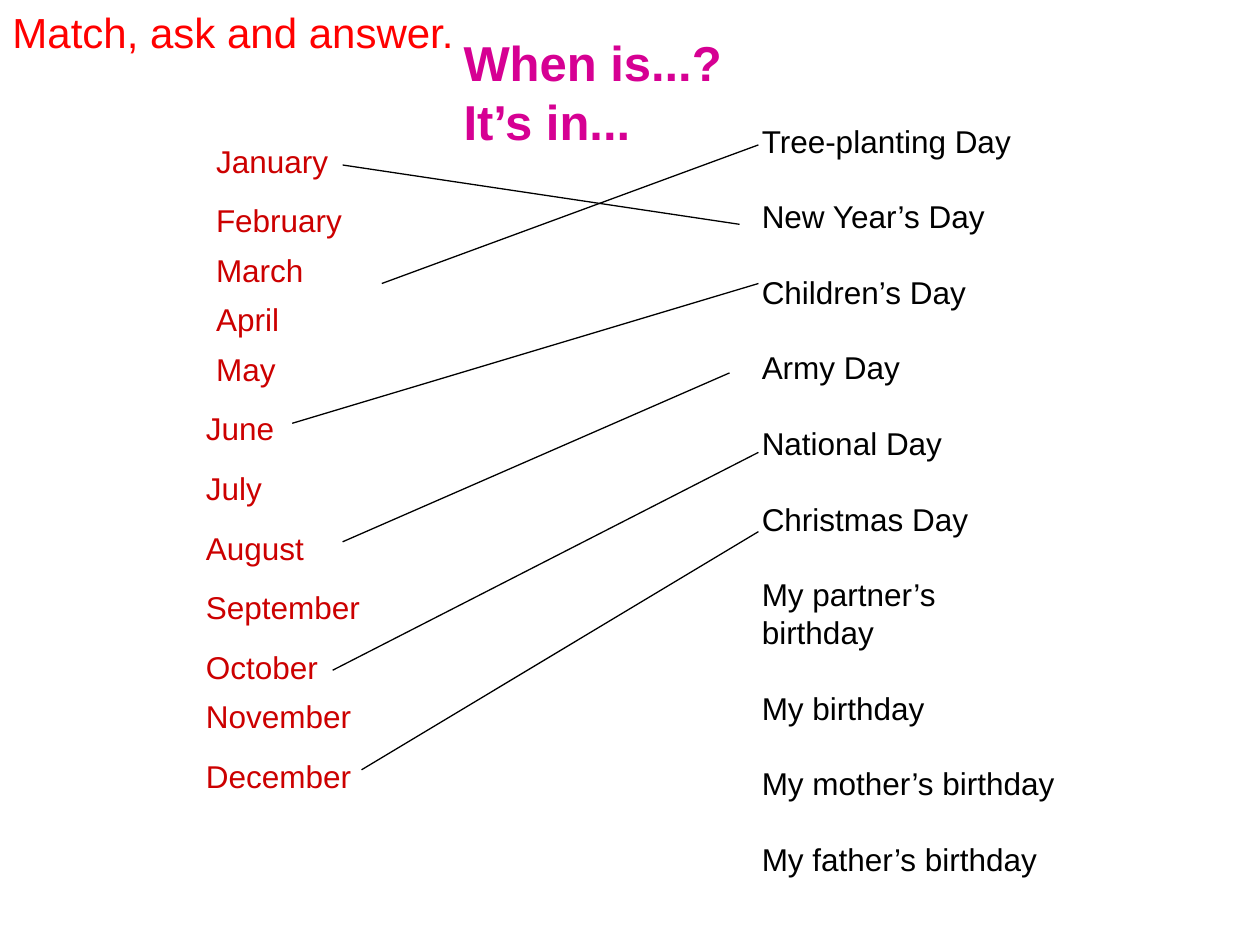
from dataclasses import dataclass

from lxml import etree
from pptx import Presentation
from pptx import util as u
from pptx.dml.color import RGBColor
from pptx.enum import shapes, text
from pptx.oxml import ns


@dataclass(frozen=True)
class Theme:
    font: str = "Arial"
    instruction: str = "FF0000"
    month: str = "CC0000"
    ink: str = "000000"
    question: str = "D60093"
    body_size: float = 18
    instruction_size: float = 24
    question_size: float = 28
    leading: float = 1.2
    line_width: float = 0.75


class Page:
    """The theme and the current slide."""

    def __init__(self, slide, theme):
        self.s = slide
        self.theme = theme

    def text(self, box, lines, size, color, bold=False, gap=0):
        """Write one paragraph per line, with gap points between them."""
        sp = self.s.shapes.add_textbox(*(u.Pt(v) for v in box))
        tf = sp.text_frame
        tf.word_wrap = True
        tf.auto_size = text.MSO_AUTO_SIZE.SHAPE_TO_FIT_TEXT
        tf.text = "\n".join(lines)
        for i, p in enumerate(tf.paragraphs):
            p.line_spacing = u.Pt(size * self.theme.leading)
            if i and gap:
                p.space_before = u.Pt(gap)
            p.font.name = self.theme.font
            p.font.size = u.Pt(size)
            p.font.bold = bold
            p.font.color.rgb = RGBColor.from_string(color)

    def line(self, *ends):
        cx = self.s.shapes.add_connector(
            shapes.MSO_CONNECTOR.STRAIGHT, *(u.Pt(v) for v in ends))
        cx.line.color.rgb = RGBColor.from_string(self.theme.ink)
        cx.line.width = u.Pt(self.theme.line_width)
        etree.SubElement(cx._element.spPr, ns.qn("a:effectLst"))


# Month, left, top, width
MONTHS = [
    ("January", 116.4, 77.4, 81), ("February", 116.4, 111.4, 89),
    ("March", 116.4, 139.7, 67), ("April", 116.4, 168, 53),
    ("May", 116.4, 196.4, 51), ("June", 110.6, 230.4, 56),
    ("July", 110.6, 264.4, 49), ("August", 110.6, 298.6, 73),
    ("September", 110.6, 332.5, 105), ("October", 110.6, 366.5, 81),
    ("November", 110.6, 394.6, 100), ("December", 110.6, 428.8, 100),
]
DAYS = [
    "Tree-planting Day", "New Year’s Day", "Children’s Day", "Army Day",
    "National Day", "Christmas Day", "My partner’s birthday", "My birthday",
    "My mother’s birthday", "My father’s birthday",
]
# Each match runs from a month to its day
MATCHES = [
    (195.8, 94.3, 422.6, 128.2), (218.2, 162, 433.4, 82.8),
    (195.8, 309.6, 416.9, 213.1), (190.1, 383, 433.4, 258.5),
    (167, 241.9, 433.4, 162), (206.6, 439.9, 433.4, 303.8),
]


def main():
    prs = Presentation()
    prs.slide_width, prs.slide_height = u.Pt(720), u.Pt(540)
    theme = Theme()
    page = Page(prs.slides.add_slide(prs.slide_layouts[6]), theme)

    page.text((0, 0, 530, 36), ["Match, ask and answer."],
              theme.instruction_size, theme.instruction)
    for month, left, top, width in MONTHS:
        page.text((left, top, width, 28.8), [month],
                  theme.body_size, theme.month)
    page.text((428.2, 66, 182, 417.6), DAYS, theme.body_size, theme.ink,
              gap=theme.body_size * theme.leading)
    for match in MATCHES:
        page.line(*match)
    page.text((257.8, 15.1, 363, 75), ["When is...?", "It’s in..."],
              theme.question_size, theme.question, bold=True)

    prs.save("out.pptx")


if __name__ == "__main__":
    main()
